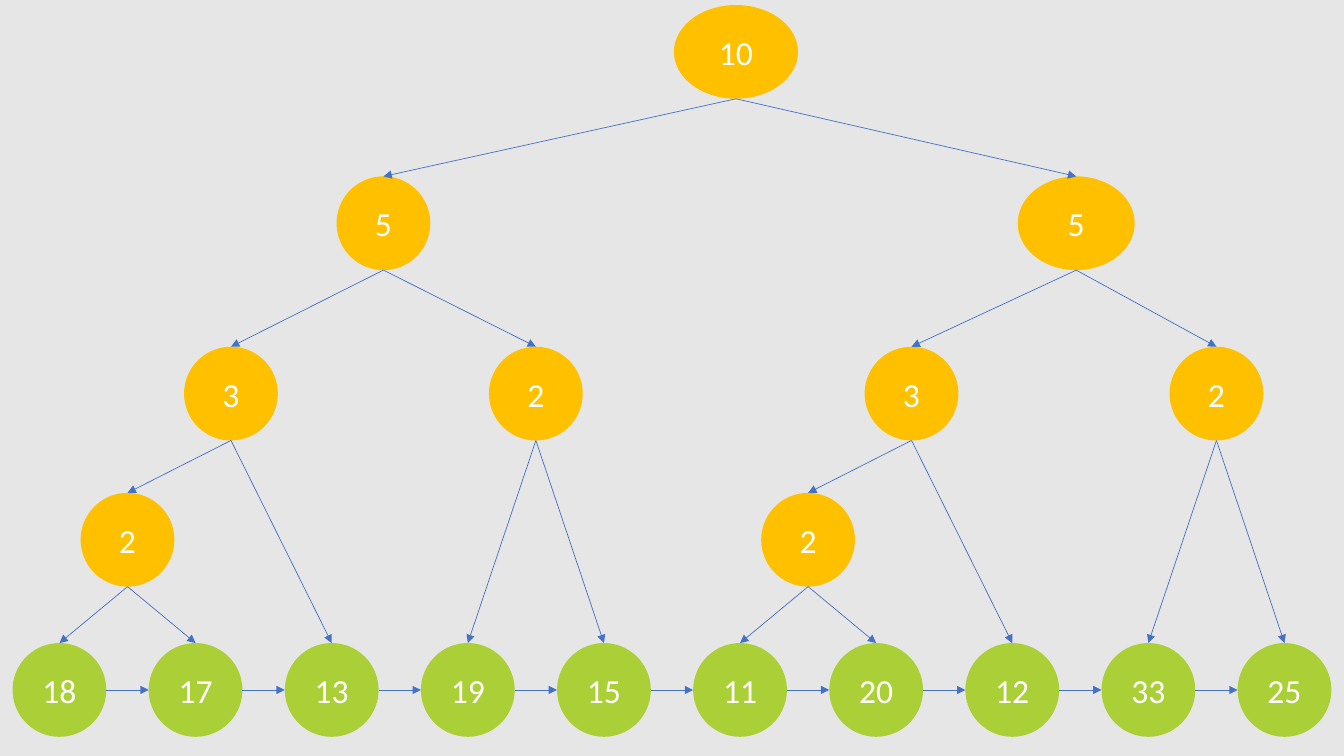
"""Build a slide with a binary tree whose leaves form a linked list."""
import pptx
import pptx.dml.color
import pptx.enum.shapes
import pptx.enum.text
import pptx.oxml.ns
import pptx.util
from lxml import etree

LEAVES = ["18", "17", "13", "19", "15", "11", "20", "12", "33", "25"]

# name: (label, column, level, width, children)
BRANCHES = {
    "root": ("10", 4.97, 0, 1.23, ("left", "right")),
    "left": ("5", 2.38, 1, 0.93, ("left three", "left two")),
    "right": ("5", 7.47, 1, 1.16, ("right three", "right two")),
    "left three": ("3", 1.26, 2, 0.93, ("left pair", "13")),
    "left two": ("2", 3.5, 2, 0.93, ("19", "15")),
    "right three": ("3", 6.26, 2, 0.93, ("right pair", "12")),
    "right two": ("2", 8.5, 2, 0.93, ("33", "25")),
    "left pair": ("2", 0.5, 3, 0.93, ("18", "17")),
    "right pair": ("2", 5.5, 3, 0.93, ("11", "20")),
}

LEVEL_TOPS = [0.05, 1.75, 3.44, 4.89, 6.38]
FIRST_CENTRE, COLUMN_PITCH, NODE_SIZE = 0.59, 1.35, 0.93
BACKGROUND, BRANCH, LEAF, ARROW, TEXT = "E7E6E6", "FFC000", "ABD037", "4472C4", "FFFFFF"


def paint(fill, colour):
    fill.solid()
    fill.fore_color.rgb = pptx.dml.color.RGBColor.from_string(colour)


def add_node(slide, label, column, level, width, colour):
    centre = FIRST_CENTRE + column * COLUMN_PITCH
    box = (centre - width / 2, LEVEL_TOPS[level], width, NODE_SIZE)
    shape = slide.shapes.add_shape(
        pptx.enum.shapes.MSO_SHAPE.OVAL, *map(pptx.util.Inches, box))
    shape.shadow.inherit = False
    paint(shape.fill, colour)
    shape.line.fill.background()
    frame = shape.text_frame
    frame.vertical_anchor = pptx.enum.text.MSO_ANCHOR.MIDDLE
    paragraph = frame.paragraphs[0]
    paragraph.alignment = pptx.enum.text.PP_ALIGN.CENTER
    run = paragraph.add_run()
    run.text = label
    run.font.name = "Calibri"
    run.font.size = pptx.util.Pt(24)
    paint(run.font.fill, TEXT)
    return shape


def add_arrow(slide, start, end):
    connector = slide.shapes.add_connector(
        pptx.enum.shapes.MSO_CONNECTOR.STRAIGHT, *start, *end)
    connector.line.width = pptx.util.Pt(0.5)
    paint(connector.line.fill, ARROW)
    line = connector.line._get_or_add_ln()
    etree.SubElement(line, pptx.oxml.ns.qn("a:tailEnd"), type="triangle")
    etree.SubElement(connector._element.spPr, pptx.oxml.ns.qn("a:effectLst"))
    return connector


def main():
    presentation = pptx.Presentation()
    presentation.slide_width = pptx.util.Inches(13.33)
    presentation.slide_height = pptx.util.Inches(7.5)
    slide = presentation.slides.add_slide(presentation.slide_layouts[6])
    paint(slide.background.fill, BACKGROUND)

    nodes = {}
    for name, (label, column, level, width, _) in BRANCHES.items():
        nodes[name] = add_node(slide, label, column, level, width, BRANCH)
    for column, label in enumerate(LEAVES):
        nodes[label] = add_node(slide, label, column, 4, NODE_SIZE, LEAF)

    for name, (*_, children) in BRANCHES.items():
        parent = nodes[name]
        bottom = (parent.left + parent.width // 2, parent.top + parent.height)
        for child in children:
            node = nodes[child]
            top = (node.left + node.width // 2, node.top)
            add_arrow(slide, bottom, top).end_connect(node, 0)

    for label, next_label in zip(LEAVES, LEAVES[1:]):
        leaf, next_leaf = nodes[label], nodes[next_label]
        middle = leaf.top + leaf.height // 2
        add_arrow(slide, (leaf.left + leaf.width, middle), (next_leaf.left, middle))

    presentation.save("out.pptx")


if __name__ == "__main__":
    main()
